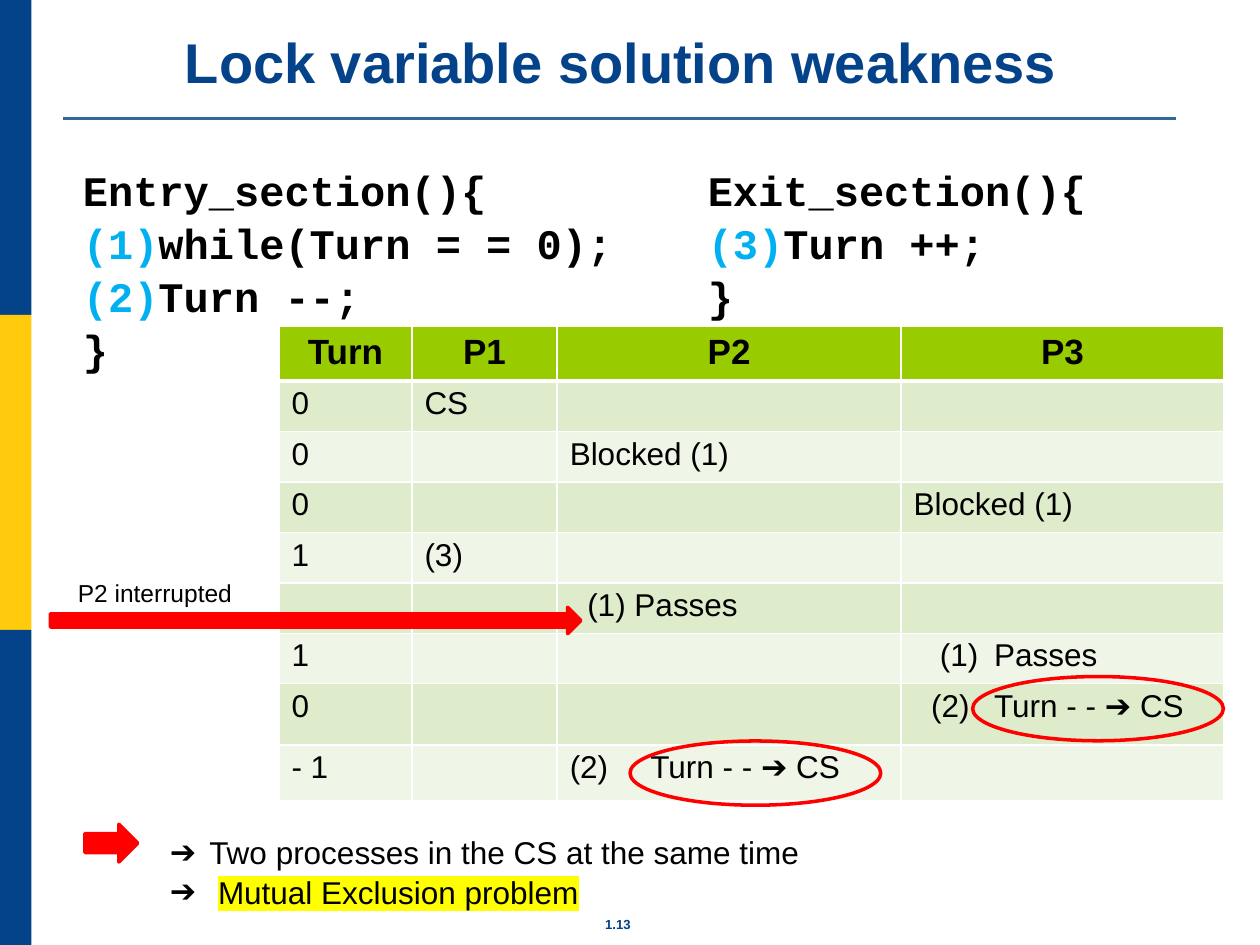
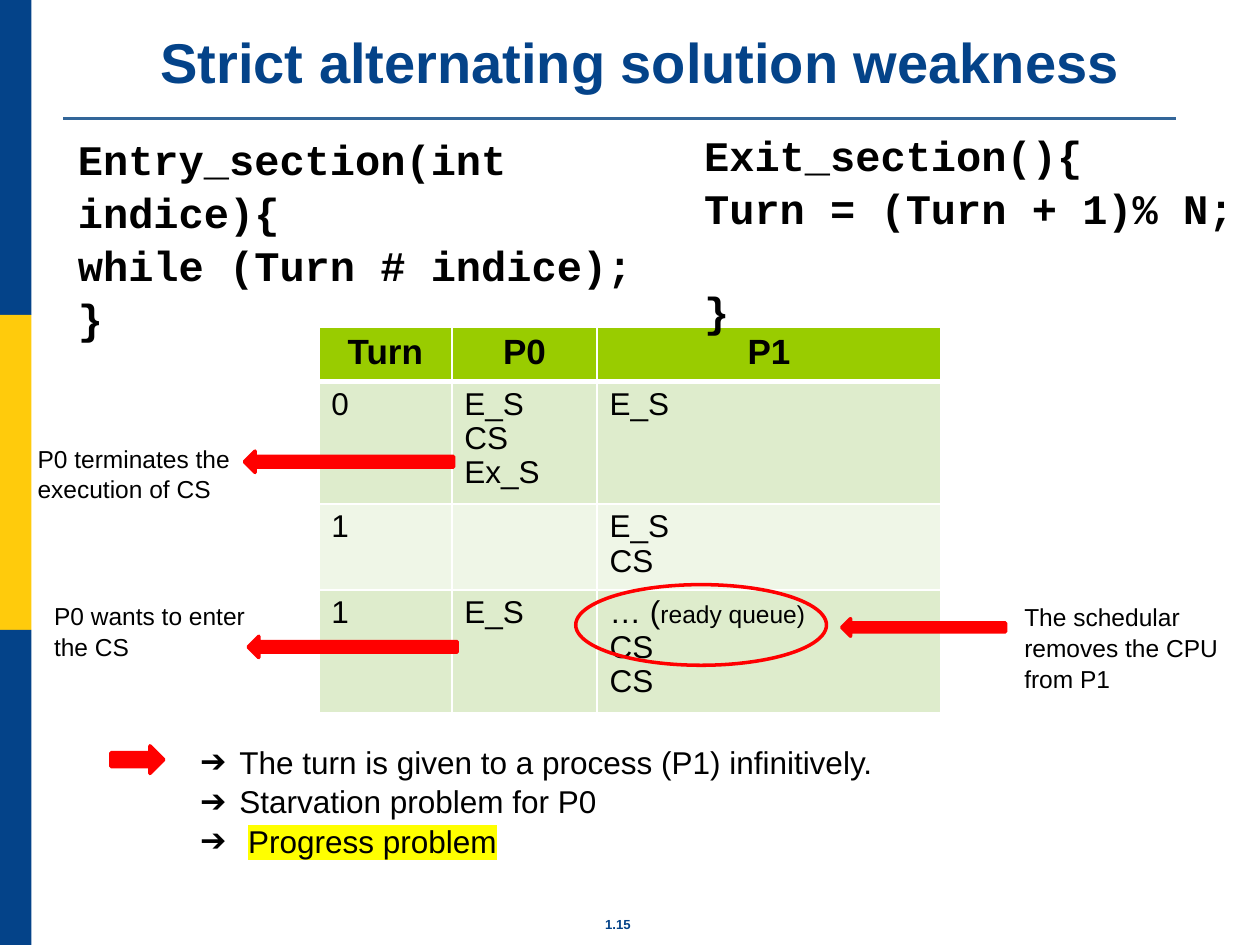
from dataclasses import dataclass
from typing import NamedTuple, Optional

from lxml.etree import SubElement
from pptx import Presentation
from pptx.dml.color import RGBColor
from pptx.enum.shapes import MSO_CONNECTOR, MSO_SHAPE
from pptx.enum.text import MSO_ANCHOR, PP_ALIGN
from pptx.oxml.ns import qn
from pptx.util import Pt


@dataclass(frozen=True)
class Theme:
    navy: str = "044389"
    gold: str = "FFCB0C"
    rule: str = "336699"
    red: str = "FF0000"
    black: str = "000000"
    white: str = "FFFFFF"
    step: str = "00B0F0"
    highlight: str = "FFFF00"
    header: str = "99CC00"
    bands: tuple = ("DEECCC", "EFF6E7")
    font: str = "Arial"
    code_font: str = "Courier New"
    title_size: float = 32
    code_size: float = 24
    header_size: float = 20
    body_size: float = 18
    note_size: float = 14
    number_size: float = 7.5
    text_spacing: float = 1.05
    cell_spacing: float = 0.97


THEME = Theme()


class Box(NamedTuple):
    """Left, top, width and height in points."""
    left: float
    top: float
    width: float
    height: float

    def lengths(self) -> list:
        return [Pt(value) for value in self]


class Span(NamedTuple):
    text: str
    color: str = THEME.black
    size: Optional[float] = None
    highlight: Optional[str] = None


class Line(NamedTuple):
    """One paragraph: its spans, left margin, first-line indent and space before."""
    spans: list
    margin: float = 0
    indent: float = 0
    before: float = 0
    bullet: str = ""


class TextStyle(NamedTuple):
    size: float
    font: str = THEME.font
    bold: bool = False
    align: PP_ALIGN = PP_ALIGN.LEFT
    spacing: float = THEME.text_spacing


TITLE = TextStyle(THEME.title_size, bold=True, align=PP_ALIGN.CENTER, spacing=1)
CODE = TextStyle(THEME.code_size, THEME.code_font, True)
NOTE = TextStyle(THEME.note_size)
BODY = TextStyle(THEME.body_size)
NUMBER = TextStyle(THEME.number_size, bold=True, align=PP_ALIGN.CENTER, spacing=1)
HEADER = TextStyle(THEME.header_size, bold=True, align=PP_ALIGN.CENTER, spacing=1)
CELL = TextStyle(THEME.body_size, spacing=THEME.cell_spacing)


def rgb(color: str) -> RGBColor:
    return RGBColor.from_string(color)


def plain(*texts: str) -> list[Line]:
    return [Line([Span(text)]) for text in texts]


def step(number: str, statement: str) -> Line:
    return Line([Span(number, THEME.step), Span(statement)])


def tabbed(label: str, action: str, start: float) -> list[Line]:
    """The label begins at start; the action is aligned at a common hanging margin."""
    margin = 46
    return [Line([Span(f"{label}\t{action}")], margin, start - margin)]


def write(frame, lines: list[Line], style: TextStyle) -> None:
    frame.word_wrap = True
    for index, line in enumerate(lines):
        paragraph = frame.paragraphs[0] if index == 0 else frame.add_paragraph()
        paragraph.alignment = style.align
        paragraph.line_spacing = style.spacing
        paragraph.space_before = Pt(line.before)
        properties = paragraph._p.get_or_add_pPr()
        properties.set("marL", str(Pt(line.margin)))
        properties.set("indent", str(Pt(line.indent)))
        if line.bullet:
            color = SubElement(properties, qn("a:buClr"))
            SubElement(color, qn("a:srgbClr"), val=THEME.black)
            SubElement(properties, qn("a:buFont"), typeface=THEME.font)
            SubElement(properties, qn("a:buChar"), char=line.bullet)
        for span in line.spans:
            run = paragraph.add_run()
            run.text = span.text
            run.font.name = style.font
            run.font.size = Pt(span.size or style.size)
            run.font.bold = style.bold
            run.font.color.rgb = rgb(span.color)
            if span.highlight:
                run_properties = run._r.get_or_add_rPr()
                mark = SubElement(run_properties, qn("a:highlight"))
                SubElement(mark, qn("a:srgbClr"), val=span.highlight)
                run_properties.find(qn("a:latin")).addprevious(mark)


def add_text(slide, box: Box, lines: list[Line], style: TextStyle):
    frame = slide.shapes.add_textbox(*box.lengths()).text_frame
    write(frame, lines, style)
    return frame


def add_preset(slide, kind: MSO_SHAPE, box: Box, fill: Optional[str], outline: Optional[str]) -> None:
    shape = slide.shapes.add_shape(kind, *box.lengths())
    shape.shadow.inherit = False
    if fill:
        shape.fill.solid()
        shape.fill.fore_color.rgb = rgb(fill)
    else:
        shape.fill.background()
    if outline:
        shape.line.color.rgb = rgb(outline)
        shape.line.width = Pt(2)
    else:
        shape.line.fill.background()


def add_arrow(slide, box: Box, kind: MSO_SHAPE = MSO_SHAPE.RIGHT_ARROW) -> None:
    add_preset(slide, kind, box, THEME.red, THEME.red)


def add_ring(slide, box: Box) -> None:
    add_preset(slide, MSO_SHAPE.OVAL, box, None, THEME.red)


def add_conclusions(slide, box: Box, findings: list[str], problem: str) -> None:
    """Bulleted findings, the last one being the highlighted problem."""
    contents = [[Span(finding)] for finding in findings]
    contents.append([Span(" "), Span(problem, highlight=THEME.highlight)])
    lines = [Line(spans, 22.5, -22.5, bullet="➔") for spans in contents]
    add_text(slide, box, lines, BODY)


def set_borders(cell, top: float, bottom: float) -> None:
    properties = cell._tc.get_or_add_tcPr()
    for side, width in (("L", 1), ("R", 1), ("T", top), ("B", bottom)):
        border = SubElement(properties, qn(f"a:ln{side}"), w=str(Pt(width)))
        fill = SubElement(border, qn("a:solidFill"))
        SubElement(fill, qn("a:srgbClr"), val=THEME.white)


def add_trace(slide, left: float, top: float, heads: list[str], heights: list[float],
              rows: list[dict]) -> None:
    """Execution trace; each row maps a column head to its lines."""
    widths = [76, 83, 196.5, 184.5][:len(heads)]
    box = Box(left, top, sum(widths), sum(heights))
    table = slide.shapes.add_table(len(heights), len(heads), *box.lengths()).table
    for column, width in zip(table.columns, widths):
        column.width = Pt(width)
    for row, height in zip(table.rows, heights):
        row.height = Pt(height)
    all_rows = [{head: plain(head) for head in heads}] + rows
    for number, entries in enumerate(all_rows):
        for column, head in enumerate(heads):
            cell = table.cell(number, column)
            set_borders(cell, 3 if number == 1 else 1, 3 if number == 0 else 1)
            cell.fill.solid()
            color = THEME.bands[(number - 1) % 2] if number else THEME.header
            cell.fill.fore_color.rgb = rgb(color)
            if head in entries:
                write(cell.text_frame, entries[head], CELL if number else HEADER)


def add_base(deck, title: str, title_left: float, number: str):
    """Title-only slide with side bands, title rule and slide number."""
    slide = deck.slides.add_slide(deck.slide_layouts[5])
    for index, color in enumerate((THEME.navy, THEME.gold, THEME.navy)):
        add_preset(slide, MSO_SHAPE.RECTANGLE, Box(0, 180 * index, 18, 180), color, None)

    rule = slide.shapes.add_connector(
        MSO_CONNECTOR.STRAIGHT, Pt(36), Pt(67.7), Pt(672), Pt(67.7))
    rule.line.color.rgb = rgb(THEME.rule)
    rule.line.width = Pt(1.5)
    SubElement(rule._element.spPr, qn("a:effectLst"))

    heading = slide.shapes.title
    heading.left, heading.top, heading.width, heading.height = Box(
        title_left, 12.2, 635.5, 45.4).lengths()
    heading.text_frame.vertical_anchor = MSO_ANCHOR.BOTTOM
    write(heading.text_frame, [Line([Span(title, THEME.navy)])], TITLE)

    frame = add_text(slide, Box(335.5, 520.5, 35.3, 14.4),
                     [Line([Span(number, THEME.navy)])], NUMBER)
    frame.margin_left = frame.margin_right = Pt(5)
    frame.margin_top = frame.margin_bottom = Pt(2.9)
    return slide


def build_lock_variable(deck) -> None:
    slide = add_base(deck, "Lock variable solution weakness", 37.2, "1.13")
    add_text(slide, Box(40.3, 89.3, 319.7, 123.8), [
        *plain("Entry_section(){"),
        step("(1)", "while(Turn = = 0);"),
        step("(2)", "Turn --;"),
        *plain("}"),
    ], CODE)
    add_text(slide, Box(397.4, 89.3, 296, 94.3), [
        *plain("Exit_section(){"), step("(3)", "Turn ++;"), *plain("}"),
    ], CODE)
    add_trace(slide, 159.4, 186.5, ["Turn", "P1", "P2", "P3"],
              [31] + [28.8] * 6 + [35, 32], [
        {"Turn": plain("0"), "P1": plain("CS")},
        {"Turn": plain("0"), "P2": plain("Blocked (1)")},
        {"Turn": plain("0"), "P3": plain("Blocked (1)")},
        {"Turn": plain("1"), "P1": plain("(3)")},
        {"P2": [Line([Span("(1) Passes")], 10)]},
        {"Turn": plain("1"), "P3": tabbed("(1)", "Passes", 15)},
        {"Turn": plain("0"), "P3": tabbed("(2)", "Turn - - ➔ CS", 10)},
        {"Turn": plain("- 1"), "P2": tabbed("(2)", "Turn - - ➔ CS", 0)},
    ])
    add_arrow(slide, Box(28.8, 347, 303.1, 15.1))
    add_text(slide, Box(37.4, 326.2, 104.4, 28), plain("P2 interrupted"), NOTE)
    for left, top in ((360, 423.4), (555.8, 386.6)):
        add_ring(slide, Box(left, top, 143.3, 36.7))
    add_arrow(slide, Box(48.5, 471, 30.2, 21.6))
    add_conclusions(slide, Box(90, 471.6, 481, 51.1),
                    ["Two processes in the CS at the same time"],
                    "Mutual Exclusion problem")


def build_strict_alternation(deck) -> None:
    slide = add_base(deck, "Strict alternating solution weakness", 48.2, "1.15")
    queue = Line([Span("… ("), Span("ready queue)", size=THEME.note_size)])
    add_trace(slide, 182.2, 186.8, ["Turn", "P0", "P1"], [29.2, 67.4, 47.4, 67.4], [
        {"Turn": plain("0"), "P0": plain("E_S", "CS", "Ex_S"), "P1": plain("E_S")},
        {"Turn": plain("1"), "P1": plain("E_S", "CS")},
        {"Turn": plain("1"), "P0": plain("E_S"), "P1": [queue, *plain("CS", "CS")]},
    ])
    add_text(slide, Box(37.4, 71.3, 346.3, 123.8),
             plain("Entry_section(int indice){", "while (Turn # indice);", "}"), CODE)
    add_text(slide, Box(395.3, 69.1, 333.4, 123.8), [
        *plain("Exit_section(){", "Turn = (Turn + 1)% N;"),
        Line([Span("}")], before=28.8),
    ], CODE)
    for box in (Box(139.7, 257.8, 119.5, 12.2), Box(141.8, 363.6, 119.5, 12.2),
                Box(481, 353.5, 93.6, 10.1)):
        add_arrow(slide, box, MSO_SHAPE.LEFT_ARROW)
    for box, remark in (
        (Box(14.4, 249.1, 139.7, 41), "P0 terminates the execution of CS"),
        (Box(23.8, 339.1, 139.7, 42.5), "P0 wants to enter the CS"),
        (Box(578.2, 339.8, 128.2, 58.3), "The schedular removes the CPU from P1"),
    ):
        add_text(slide, box, plain(remark), NOTE)
    add_ring(slide, Box(329, 334.1, 143.3, 46.1))
    add_arrow(slide, Box(63.4, 426.2, 30.2, 15.8))
    add_conclusions(slide, Box(107.3, 419.8, 587.5, 72.7),
                    ["The turn is given to a process (P1) infinitively.",
                     "Starvation problem for P0"],
                    "Progress problem")


def main() -> None:
    deck = Presentation()
    deck.slide_width, deck.slide_height = Pt(720), Pt(540)
    build_lock_variable(deck)
    build_strict_alternation(deck)
    deck.save("out.pptx")


if __name__ == "__main__":
    main()
